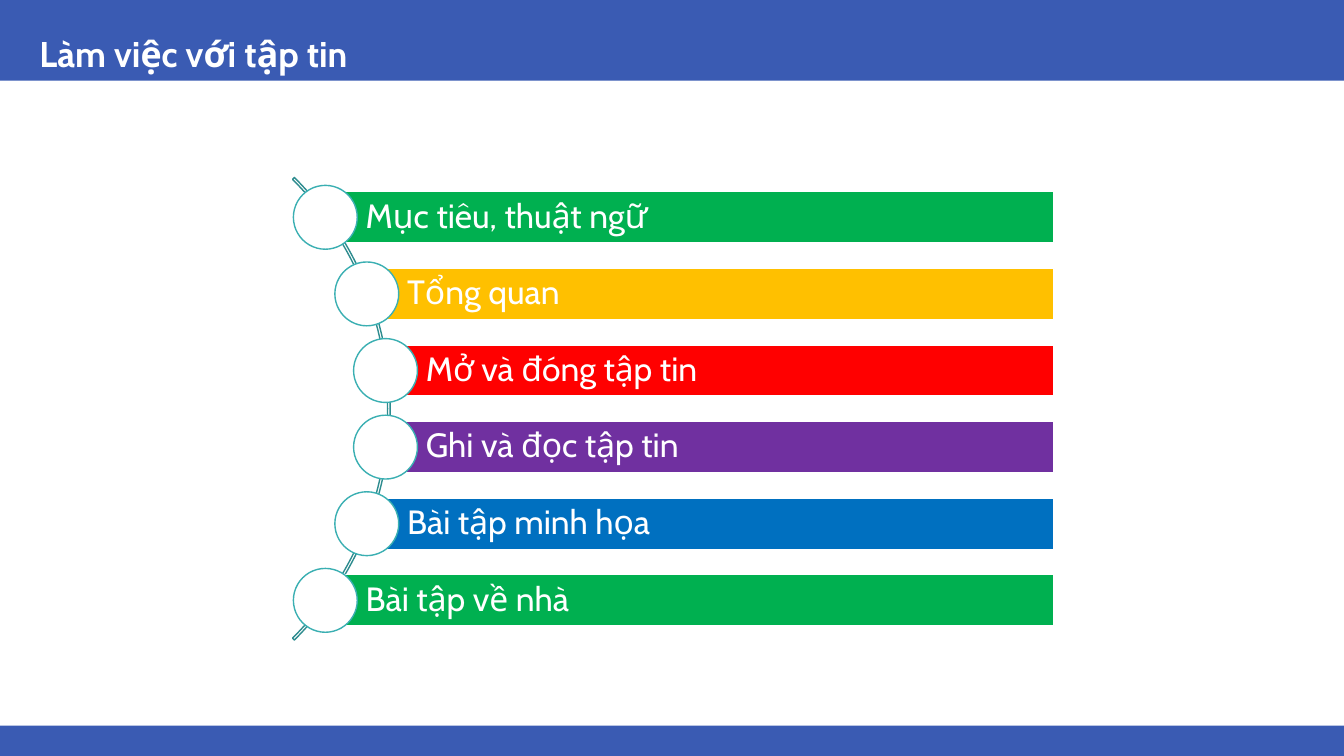
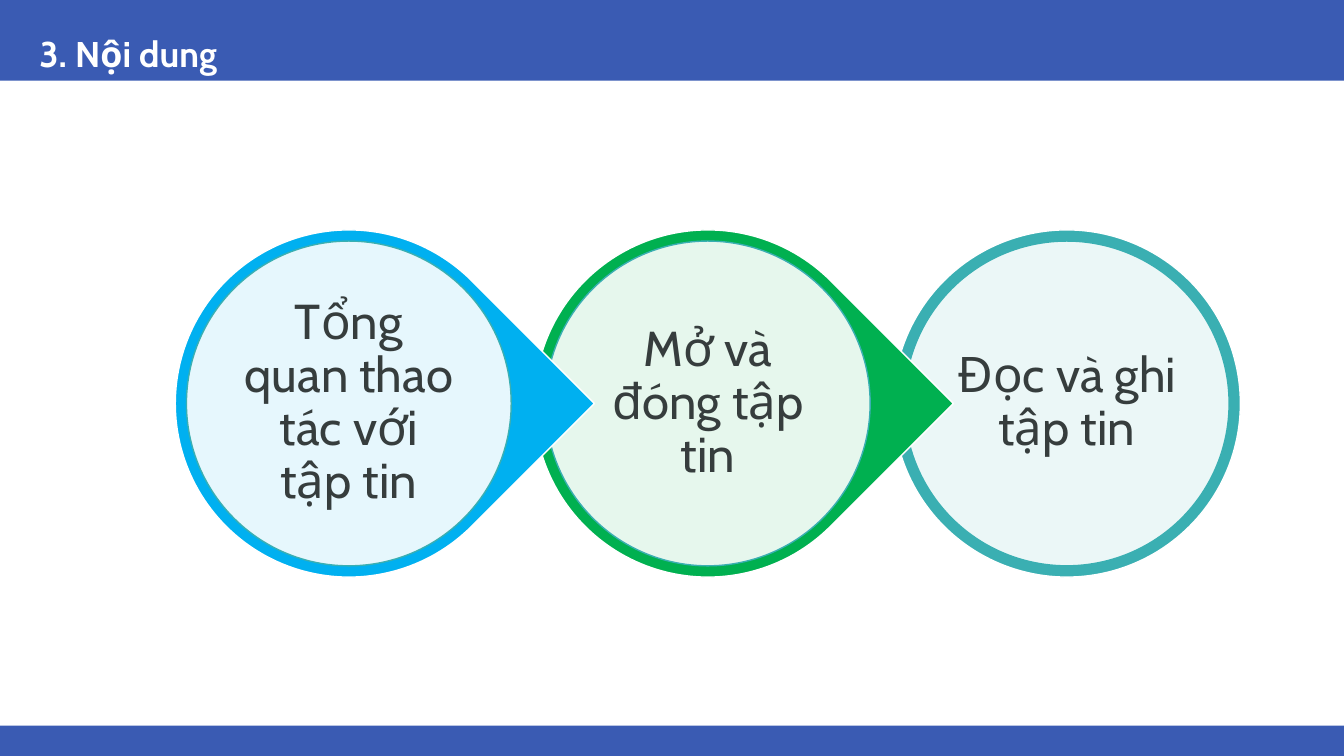
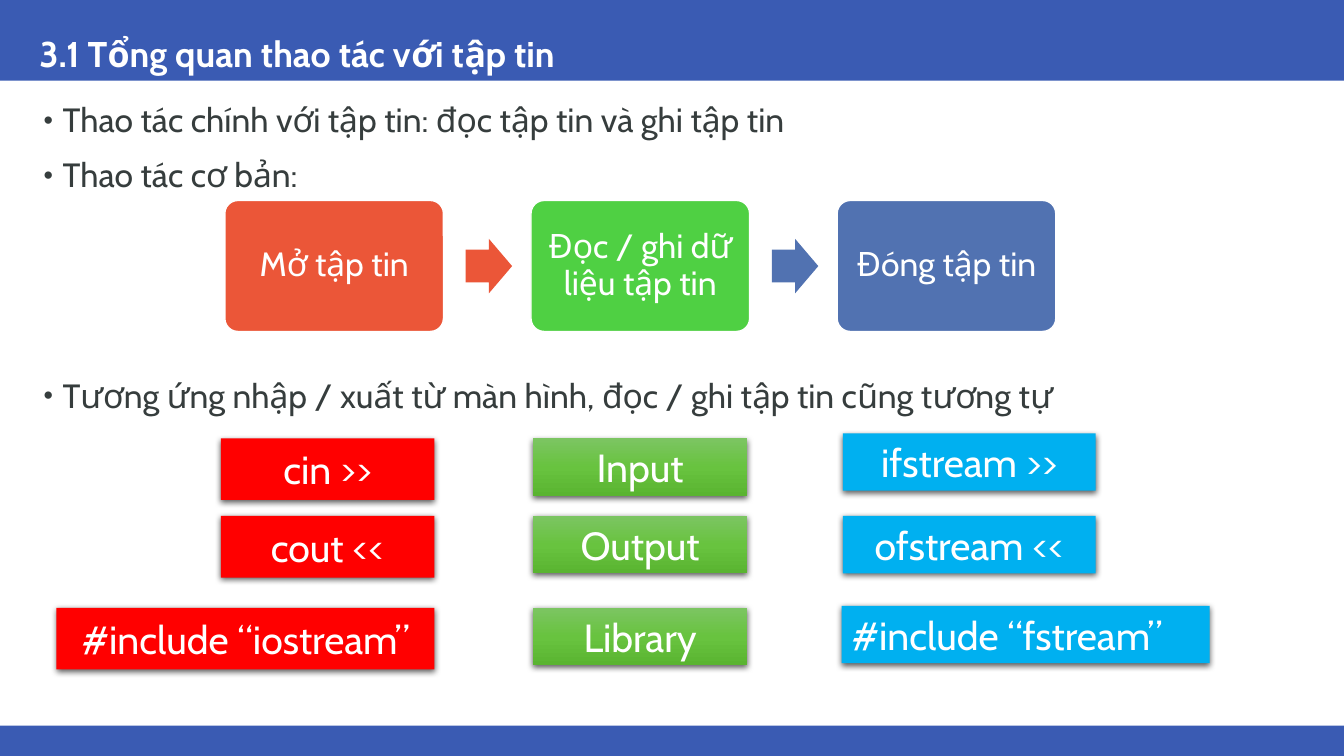
from math import sqrt

from lxml import etree
from pptx import Presentation
from pptx.dml.color import RGBColor
from pptx.enum.shapes import MSO_SHAPE
from pptx.enum.text import MSO_ANCHOR, MSO_AUTO_SIZE, PP_ALIGN
from pptx.oxml.ns import qn
from pptx.util import Pt

RECTANGLE = MSO_SHAPE.RECTANGLE
ROUNDED = MSO_SHAPE.ROUNDED_RECTANGLE
OVAL = MSO_SHAPE.OVAL
TEARDROP = MSO_SHAPE.TEAR
BLOCK_ARC = MSO_SHAPE.BLOCK_ARC
RIGHT_ARROW = MSO_SHAPE.RIGHT_ARROW
LEFT, CENTER = PP_ALIGN.LEFT, PP_ALIGN.CENTER
TOP, MIDDLE, BOTTOM = MSO_ANCHOR.TOP, MSO_ANCHOR.MIDDLE, MSO_ANCHOR.BOTTOM
TITLE_AND_BODY, TITLE_ONLY = 1, 5

FONT = "Cabin"
WIDTH, HEIGHT = 960, 540
COLORS = {
    "band": "3A5BB3", "white": "FFFFFF", "text": "363D3D",
    "teal": "3AAFB2", "dark teal": "2E8C8F",
    "green": "00B050", "amber": "FFC000", "red": "FF0000",
    "purple": "7030A0", "blue": "0070C0", "sky": "00B0F0",
    "orange": "EB5638", "lime": "4FD043", "steel": "5172B1",
    "leaf light": "7CC562", "leaf": "68C33F", "leaf dark": "5AB431",
    "shadow": "000000",
}
LEAF_GRADIENT = [(0, "leaf light"), (50, "leaf"), (100, "leaf dark")]


def rgb(name):
    return RGBColor.from_string(COLORS[name])


def add_xml(parent, tag, **attributes):
    return etree.SubElement(parent, qn(tag), attributes)


def add_color_xml(parent, name, alpha=100):
    color = add_xml(parent, "a:srgbClr", val=COLORS[name])
    if alpha < 100:
        add_xml(color, "a:alpha", val=str(alpha * 1000))


class Deck:
    """Holds the shared style and the slide being built."""

    def __init__(self):
        self.deck = Presentation()
        self.deck.slide_width, self.deck.slide_height = Pt(WIDTH), Pt(HEIGHT)
        self.slide = None

    def start_slide(self, title, layout=TITLE_ONLY):
        self.slide = self.deck.slides.add_slide(self.deck.slide_layouts[layout])
        box = self.slide.shapes.title
        self.place(box, 21, 0, 918.5, 57.6)
        self.set_text(box.text_frame, [title], 25.5, "white", LEFT, BOTTOM, bold=True)

    def add_master_bands(self):
        """Draw the top and bottom bands and move them to the slide master."""
        tree = self.deck.slide_master.shapes.element
        for number, (top, height) in enumerate([(0, 57.6), (518.4, 21.6)]):
            band = self.shape(RECTANGLE, 0, top, WIDTH, height, "band")
            band.element.nvSpPr.cNvPr.set("id", str(100 + number))
            tree.insert(2 + number, band.element)

    def place(self, box, left, top, width, height):
        box.left, box.top = Pt(left), Pt(top)
        box.width, box.height = Pt(width), Pt(height)

    def set_text(self, frame, lines, size, color, align=CENTER, anchor=MIDDLE,
                 bold=False, spacing=0.9):
        frame.text = "\n".join(lines)
        frame.word_wrap = True
        frame.auto_size = MSO_AUTO_SIZE.NONE
        frame.vertical_anchor = anchor
        for para in frame.paragraphs:
            para.alignment = align
            para.line_spacing = spacing
            para.space_before = Pt(0)
            for span in para.runs:
                span.font.name, span.font.size = FONT, Pt(size)
                span.font.bold = bold
                span.font.color.rgb = rgb(color)

    def bullets(self, lines, gaps):
        box = self.slide.placeholders[1]
        self.place(box, 21, 70.5, 918.5, 435.5)
        self.set_text(box.text_frame, lines, 24, "text", LEFT, TOP)
        for para, gap in zip(box.text_frame.paragraphs, gaps):
            para.space_before = Pt(gap)
            settings = para._p.get_or_add_pPr()
            settings.set("marL", str(Pt(16.5)))
            settings.set("indent", str(Pt(-13.5)))
            add_xml(settings, "a:buSzPct", val="80000")
            add_xml(settings, "a:buFont", typeface="Arial")
            add_xml(settings, "a:buChar", char="•")

    def shape(self, kind, left, top, width, height, fill=None, line=None, adjust=()):
        shape = self.slide.shapes.add_shape(
            kind, Pt(left), Pt(top), Pt(width), Pt(height))
        shape.shadow.inherit = False
        for index, value in enumerate(adjust):
            shape.adjustments[index] = value
        if fill:
            shape.fill.solid()
            shape.fill.fore_color.rgb = rgb(fill)
        else:
            shape.fill.background()
        if line:
            shape.line.color.rgb = rgb(line)
            shape.line.width = Pt(1)
        else:
            shape.line.fill.background()
        return shape

    def agenda_bar(self, text, center_x, center_y, right, color):
        bar = self.shape(RECTANGLE, center_x, center_y - 18.25,
                         right - center_x, 36.5, color, "white")
        self.set_text(bar.text_frame, [text], 24, "white", LEFT)
        bar.text_frame.margin_left = Pt(28.8)
        self.shape(OVAL, center_x - 22.8, center_y - 22.8, 45.6, 45.6, "white", "teal")

    def ring(self, kind, text, left, top, color):
        size, rim = 248, 8
        outer = self.shape(kind, left, top, size, size, color, "white")
        if kind == TEARDROP:
            outer.rotation = 45
        inner = self.shape(OVAL, left + rim, top + rim, size - 2 * rim,
                           size - 2 * rim, "white", "teal")
        white = inner.element.spPr.find(qn("a:solidFill"))[0]
        add_xml(white, "a:alpha", val="90000")
        frame = inner.text_frame
        self.set_text(frame, [text], 35, "text")
        frame.margin_left = frame.margin_right = Pt(3.6)
        frame.margin_top = frame.margin_bottom = Pt(3.6)

    def step(self, text, left, top, color):
        box = self.shape(ROUNDED, left, top, 156.2, 93.6, color, "white", [0.1])
        self.set_text(box.text_frame, [text], 24, "white")

    def label(self, text, left, top, width, height, color, align=CENTER):
        """A label with a soft shadow; without a colour it gets the leaf gradient."""
        box = self.shape(RECTANGLE, left, top, width, height, color)
        self.set_text(box.text_frame, [text], 28, "white", align, spacing=1.0)
        properties = box.element.spPr
        if not color:
            box.fill.gradient()
            box.fill.gradient_angle = 270
            stops = properties.find(qn("a:gradFill")).find(qn("a:gsLst"))
            for stop in list(stops):
                stops.remove(stop)
            for position, name in LEAF_GRADIENT:
                add_color_xml(add_xml(stops, "a:gs", pos=str(position * 1000)), name)
        shadow = add_xml(properties.find(qn("a:effectLst")), "a:outerShdw",
                         blurRad=str(Pt(4.5)), dist=str(Pt(1.5)),
                         dir="5400000", algn="ctr", rotWithShape="0")
        add_color_xml(shadow, "shadow", 63)


def build_agenda(deck):
    deck.start_slide("Làm việc với tập tin")
    deck.add_master_bands()

    # Arc with the bars hung along it
    center_x, center_y, radius, pitch = 45, 292, 232, 54.72
    deck.shape(BLOCK_ARC, -188.6, 58.3, 467.3, 467.3, None, "dark teal",
               [189, 27, 0.004])
    topics = [
        ("Mục tiêu, thuật ngữ", "green"), ("Tổng quan", "amber"),
        ("Mở và đóng tập tin", "red"), ("Ghi và đọc tập tin", "purple"),
        ("Bài tập minh họa", "blue"), ("Bài tập về nhà", "green"),
    ]
    for index, (text, color) in enumerate(topics):
        rise = (index - (len(topics) - 1) / 2) * pitch
        deck.agenda_bar(text, center_x + sqrt(radius ** 2 - rise ** 2),
                        center_y + rise, 753, color)


def build_contents(deck):
    deck.start_slide("3. Nội dung")

    # Rings from right to left, so that each tip lies over the next ring
    rings = [
        (TEARDROP, "Tổng quan thao tác với tập tin", "sky"),
        (TEARDROP, "Mở và đóng tập tin", "green"),
        (OVAL, "Đọc và ghi tập tin", "teal"),
    ]
    for index, (kind, text, color) in reversed(list(enumerate(rings))):
        deck.ring(kind, text, 125.2 + index * 256.4, 164.2, color)


def build_overview(deck):
    deck.start_slide("3.1 Tổng quan thao tác với tập tin", TITLE_AND_BODY)
    deck.bullets([
        "Thao tác chính với tập tin: đọc tập tin và ghi tập tin",
        "Thao tác cơ bản:",
        "Tương ứng nhập / xuất từ màn hình, đọc / ghi tập tin cũng tương tự",
    ], [13.5, 13.5, 131.5])

    # Process: three steps and the arrows between them
    steps = [("Mở tập tin", "orange"), ("Đọc / ghi dữ liệu tập tin", "lime"),
             ("Đóng tập tin", "steel")]
    pitch = 218.7
    for index, (text, color) in enumerate(steps):
        deck.step(text, 160.6 + index * pitch, 143.2, color)
    for index, color in enumerate(["orange", "steel"]):
        deck.shape(RIGHT_ARROW, 332.6 + index * pitch, 170.6, 33.2, 39,
                   color, adjust=[0.6, 0.5])

    # Screen and file counterparts: colour, height, labels of each column
    columns = [
        ("red", 44, [("cin >>", 157.7, 313.2, 152.6),
                     ("cout <<", 157.7, 368.6, 152.6),
                     ("#include “iostream”", 40.3, 434.2, 270)]),
        (None, 41, [("Input", 380.9, 313.2, 152.6),
                    ("Output", 380.9, 368.6, 152.6),
                    ("Library", 380.9, 434.2, 152.6)]),
        ("sky", 41, [("ifstream >>", 602, 309.6, 180.7),
                     ("ofstream <<", 602, 368.6, 180.7)]),
    ]
    for color, height, labels in columns:
        for text, left, top, width in labels:
            deck.label(text, left, top, width, height, color)
    deck.label("#include “fstream”", 601.2, 432.7, 262.8, 41, "sky", LEFT)


def main():
    deck = Deck()
    build_agenda(deck)
    build_contents(deck)
    build_overview(deck)
    deck.deck.save("out.pptx")


if __name__ == "__main__":
    main()
